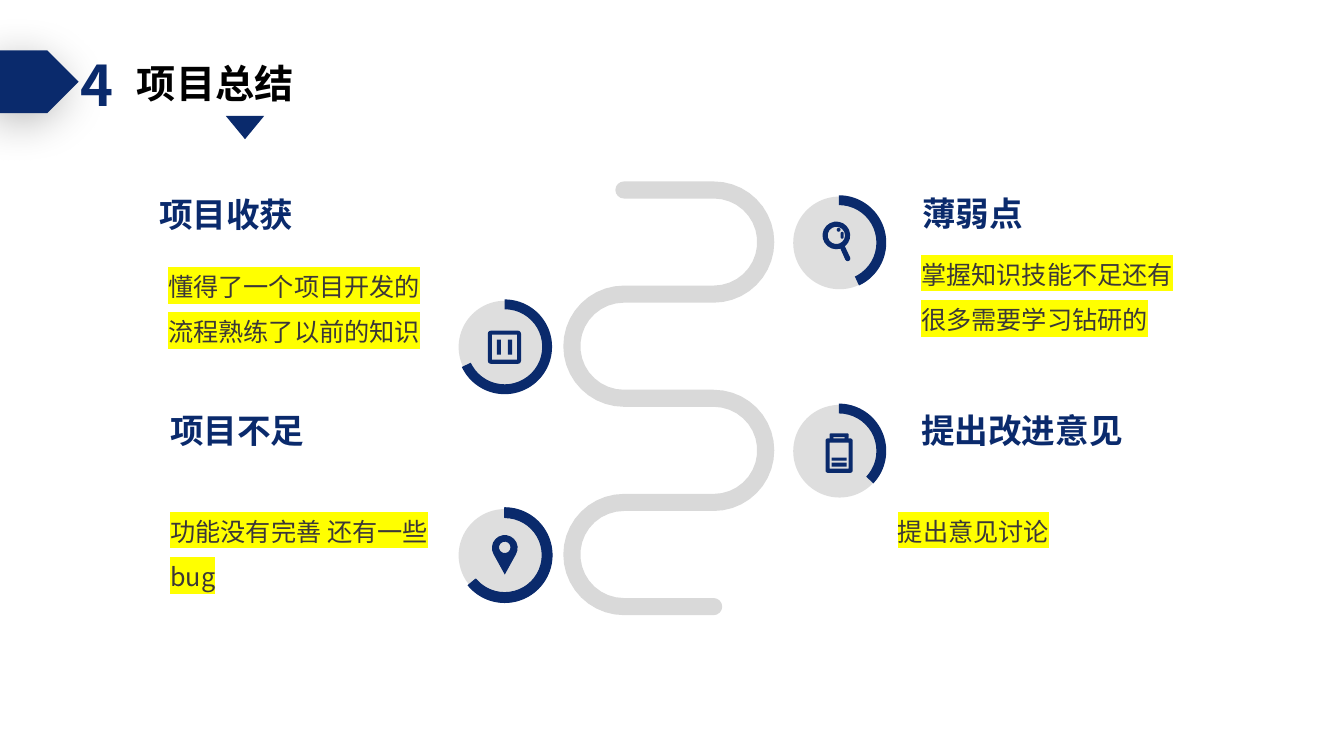
"""Build the project summary slide with its winding path and four topics."""
from math import ceil, cos, radians, sin, sqrt
from lxml.etree import SubElement
from pptx import Presentation
from pptx.dml.color import RGBColor
from pptx.enum.shapes import MSO_SHAPE
from pptx.enum.text import MSO_AUTO_SIZE
from pptx.oxml.ns import qn
from pptx.util import Pt

NAVY = RGBColor(0x0A, 0x2A, 0x6C)
BLACK = RGBColor(0, 0, 0)
DARK = RGBColor(0x3B, 0x38, 0x38)
GREY = RGBColor(0xBF, 0xBF, 0xBF)
PALE = RGBColor(0xD9, 0xD9, 0xD9)
FONT = "Noto Sans CJK SC"
STEP = 74.4


def arc(x, y, r, start, end):
    """Return points along an arc in degrees, with more points for a larger radius."""
    count = ceil(abs(end - start) * sqrt(r) / 60)
    turns = [radians(start + (end - start) * i / max(count, 1)) for i in range(count + 1)]
    return [(x + r * cos(t), y + r * sin(t)) for t in turns]


def box(left, top, right, low, r=0):
    """Return the outline of a box with corners of radius r."""
    spots = [(right - r, low - r), (left + r, low - r), (left + r, top + r), (right - r, top + r)]
    return [p for i, (x, y) in enumerate(spots) for p in arc(x, y, r, 90 * i, 90 * i + 90)]


deck = Presentation()
deck.slide_width, deck.slide_height = Pt(960), Pt(540)
slide = deck.slides.add_slide(deck.slide_layouts[6])
shapes = slide.shapes

presets = [(MSO_SHAPE.PENTAGON, 0, 36, 56.2, 44.8, NAVY, [0.5])]
for i in range(4):
    presets.append((MSO_SHAPE.OVAL, 327.6 if i % 2 else 566.6, 140.4 + STEP * i, 66.2, 66.2, GREY, []))
for i, sweep in enumerate([38.88, 92.88, 25.92, 84.24]):
    left = 326.7 if i % 2 else 565.4
    presets.append((MSO_SHAPE.BLOCK_ARC, left, 139.5 + STEP * i, 67.7, 67.7, NAVY, [162, sweep, 0.104]))
presets.append((MSO_SHAPE.ISOSCELES_TRIANGLE, 161.3, 82.8, 27.4, 16.6, NAVY, [0.5]))

for kind, left, top, width, height, color, adjust in presets:
    shape = shapes.add_shape(kind, Pt(left), Pt(top), Pt(width), Pt(height))
    shape.shadow.inherit = False
    shape.fill.solid()
    shape.fill.fore_color.rgb = color
    shape.line.fill.background()
    for i, value in enumerate(adjust):
        shape.adjustments[i] = value
    props = shape.element.spPr
    if kind == MSO_SHAPE.OVAL:
        SubElement(props.find(".//" + qn("a:srgbClr")), qn("a:alpha"), val="51000")
    if kind == MSO_SHAPE.PENTAGON:
        shade = SubElement(props.find(qn("a:effectLst")), qn("a:outerShdw"), blurRad=str(Pt(32)),
                           dist=str(Pt(8)), dir="8100000", algn="ctr", rotWithShape="0")
        tint = SubElement(shade, qn("a:srgbClr"), val="000000")
        SubElement(tint, qn("a:alpha"), val="27000")
    if kind == MSO_SHAPE.ISOSCELES_TRIANGLE:
        shape.rotation = 180
    if 84.24 in adjust:
        shape.line.color.rgb = NAVY
        shape.line.width = Pt(0.75)

edges = []
for side in (6.1, -6.1):
    edge = []
    for i in range(4):
        x, sign = (445.7, -1) if i % 2 else (509.8, 1)
        edge += arc(x, 172.9 + STEP * i, 37.2 + sign * side, -90, -90 + sign * 180)
    edges.append(edge)
road = (arc(445.7, 135.7, 6.1, 90, 270) + edges[0]
        + arc(509.8, 135.7 + 4 * STEP, 6.1, -90, 90) + edges[1][::-1])

lens = [arc(597.4, 168.2, 9.9, 73, 412) + arc(605.5, 184.7, 1.9, -25, 155),
        arc(597.4, 168.2, 6.2, 0, 360),
        arc(599, 164.2, 1.4, 0, 360),
        box(600.5, 165.6, 602.6, 170.6, 1)]
pause = [box(348.5, 236.2, 372.2, 259.9, 2.2), box(351.4, 239, 369.4, 257),
         box(355, 242.6, 357.8, 253.4), box(362.9, 242.6, 365.8, 253.4)]
cell = [box(589.7, 313.2, 609.1, 337.7, 1.4), box(592.6, 309.6, 606.2, 313.2, 0.7),
        box(595.4, 312.3, 603.4, 313.2), box(592.6, 316.1, 606.2, 334.8),
        box(594, 326.9, 604.8, 329), box(594, 330.5, 604.8, 333.4)]
pin = [arc(360.6, 391.4, 9.2, 150, 390) + [(360.6, 410.4)], arc(360.6, 391, 4.1, 0, 360)]

for loops, color in [(lens, NAVY), (pause, NAVY), (cell, NAVY), (pin, NAVY), ([road], PALE)]:
    pen = None
    for loop in loops:
        dots = [(Pt(x), Pt(y)) for x, y in loop]
        if pen is None:
            pen = shapes.build_freeform(*dots[0], scale=1.0)
        else:
            pen.move_to(*dots[0])
        pen.add_line_segments(dots[1:], close=True)
    shape = pen.convert_to_shape()
    shape.shadow.inherit = False
    shape.fill.solid()
    shape.fill.fore_color.rgb = color
    shape.line.fill.background()

HEAD = {"size": Pt(24), "bold": True, "name": FONT}
BODY = {"size": Pt(18), "bold": False, "name": FONT}
TITLE = {"size": Pt(28), "bold": True, "name": FONT}
MARK = {"size": Pt(40), "bold": True, "name": FONT}
texts = [
    ("薄弱点", 651.6, 139.7, 270.7, 30.2, HEAD, NAVY),
    ("项目收获", 106.6, 140.4, 180, 30.2, HEAD, NAVY),
    ("提出改进意见", 650.9, 294.5, 224.6, 30.2, HEAD, NAVY),
    ("项目不足", 114.5, 294.5, 163.4, 30.2, HEAD, NAVY),
    ("懂得了一个项目开发的流程熟练了以前的知识", 113, 179.3, 208.1, 69.1, BODY, DARK),
    ("掌握知识技能不足还有很多需要学习钻研的", 650.9, 170.6, 208.1, 69.1, BODY, DARK),
    ("提出意见讨论", 634.3, 354.2, 224.6, 36, BODY, DARK),
    ("功能没有完善 还有一些bug", 114.5, 354.2, 208.1, 69.1, BODY, DARK),
    ("项目总结", 90.8, 45.4, 220.2, 34.6, TITLE, BLACK),
    ("4", 50.4, 41.8, 33.8, 45.4, MARK, NAVY),
]
for words, left, top, width, height, style, color in texts:
    frame = shapes.add_textbox(Pt(left), Pt(top), Pt(width), Pt(height)).text_frame
    frame.word_wrap = True
    frame.auto_size = MSO_AUTO_SIZE.SHAPE_TO_FIT_TEXT
    para = frame.paragraphs[0]
    para.line_spacing = 1.5 if style is BODY else 0.8
    run = para.add_run()
    run.text = words
    run.font.color.rgb = color
    props = run._r.get_or_add_rPr()
    if style is BODY:
        glow = SubElement(props, qn("a:highlight"))
        SubElement(glow, qn("a:srgbClr"), val="FFFF00")
    for key, value in style.items():
        setattr(run.font, key, value)
    SubElement(props, qn("a:ea"), typeface=FONT)

deck.save("out.pptx")
